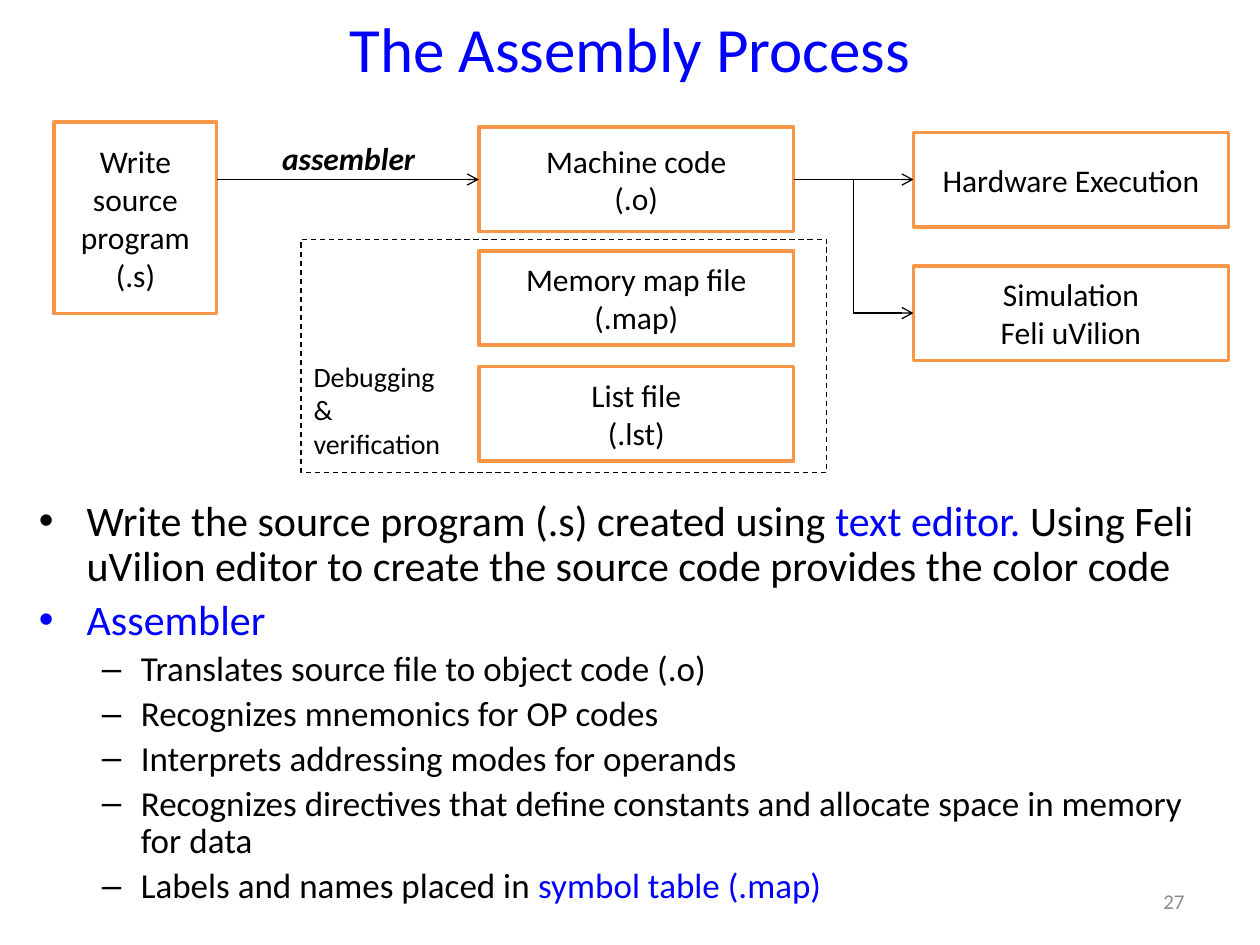
from pptx import Presentation
from pptx.dml.color import RGBColor
from pptx.enum.dml import MSO_LINE
from pptx.enum.shapes import MSO_CONNECTOR, MSO_SHAPE
from pptx.enum.text import MSO_ANCHOR, PP_ALIGN
from pptx.oxml.ns import qn
from pptx.util import Inches, Pt
from lxml.etree import SubElement

BLACK, BLUE, ORANGE, GRAY, WHITE = "000000", "0000FF", "F79646", "898989", "FFFFFF"
TOP, LEFT, BOTTOM, RIGHT = range(4)

# Content: flow boxes as lines of text with left, top, width, height
FLOW_BOXES = {
    "source": (["Write source program (.s)"], (0.43, 0.97, 1.29, 1.52)),
    "machine": (["Machine code", "(.o)"], (3.8, 1.01, 2.5, 0.83)),
    "map": (["Memory map file", "(.map)"], (3.8, 1.99, 2.5, 0.75)),
    "list": (["List file", "(.lst)"], (3.8, 2.91, 2.5, 0.75)),
    "hardware": (["Hardware Execution"], (7.25, 1.05, 2.5, 0.75)),
    "simulation": (["Simulation", "Feli uVilion"], (7.25, 2.11, 2.5, 0.75)),
}
# Body: level, then runs of text and colour
BODY = [
    (0, [("Write the source program (.s) created using ", BLACK), ("text editor. ", BLUE),
         ("Using Feli uVilion editor to create the source code provides the color code", BLACK)]),
    (0, [("Assembler", BLUE)]),
    (1, [("Translates source file to object code (.o)", BLACK)]),
    (1, [("Recognizes mnemonics for OP codes", BLACK)]),
    (1, [("Interprets addressing modes for operands", BLACK)]),
    (1, [("Recognizes directives that define constants and allocate space in memory for data", BLACK)]),
    (1, [("Labels and names placed in ", BLACK), ("symbol table (.map)", BLUE)]),
]
# Per level: bullet, text size, left margin, hanging indent
LEVELS = [("•", 24, 0.38, 0.38), ("–", 20, 0.81, 0.31)]


def color(value):
    return RGBColor.from_string(value)


def style(font, size, value):
    font.name, font.size = "Calibri", Pt(size)
    font.color.rgb = color(value)


def write(box, lines, size, value=BLACK, align=PP_ALIGN.LEFT, anchor=MSO_ANCHOR.MIDDLE):
    frame = box.text_frame
    frame.text = "\n".join(lines)
    frame.word_wrap, frame.vertical_anchor = True, anchor
    for para in frame.paragraphs:
        para.alignment = align
        for span in para.runs:
            style(span.font, size, value)
    return frame


def add_text(place, *args, **options):
    box = page.shapes.add_textbox(*map(Inches, place))
    return write(box, *args, **options)


def add_rectangle(place, line, width):
    box = page.shapes.add_shape(MSO_SHAPE.RECTANGLE, *map(Inches, place))
    box.shadow.inherit = False
    box.line.color.rgb, box.line.width = color(line), Pt(width)
    return box


def add_arrow(kind, end_box, start_box=None, start=(0, 0)):
    arrow = page.shapes.add_connector(kind, *start, *start)
    if start_box is not None:
        arrow.begin_connect(start_box, RIGHT)
    arrow.end_connect(end_box, LEFT)
    arrow.line.color.rgb, arrow.line.width = color(BLACK), Pt(0.75)
    SubElement(arrow.line._get_or_add_ln(), qn("a:tailEnd"), type="arrow")
    SubElement(arrow._element.spPr, qn("a:effectLst"))


deck = Presentation()
deck.slide_width, deck.slide_height = Inches(10), Inches(7.5)
page = deck.slides.add_slide(deck.slide_layouts[6])

# Title and page number
add_text((0.5, 0, 9, 0.75), ["The Assembly Process"], 36, BLUE, PP_ALIGN.CENTER)
add_text((7.17, 6.95, 2.33, 0.4), ["27"], 12, GRAY, PP_ALIGN.RIGHT)

# Bulleted body
frame = page.shapes.add_textbox(*map(Inches, (0.21, 3.92, 9.44, 3.58))).text_frame
frame.word_wrap = True
for index, (level, runs) in enumerate(BODY):
    bullet, size, margin, hanging = LEVELS[level]
    para = frame.paragraphs[0] if index == 0 else frame.add_paragraph()
    props = para._p.get_or_add_pPr()
    props.set("marL", str(Inches(margin)))
    props.set("indent", str(-Inches(hanging)))
    SubElement(props, qn("a:buFont"), typeface="Arial")
    SubElement(props, qn("a:buChar"), char=bullet)
    para.level, para.line_spacing = level, 0.9
    para.space_before = Pt(0.2 * size if index else 0)
    for text, value in runs:
        span = para.add_run()
        span.text = text
        style(span.font, size, value)

# Flow boxes
boxes = {}
for name, (lines, place) in FLOW_BOXES.items():
    box = add_rectangle(place, ORANGE, 2)
    box.fill.solid()
    box.fill.fore_color.rgb = color(WHITE)
    write(box, lines, 18, align=PP_ALIGN.CENTER)
    boxes[name] = box

# Dashed group for debugging files
group = add_rectangle((2.39, 1.9, 4.17, 1.85), BLACK, 0.75)
group.fill.background()
group.line.dash_style = MSO_LINE.DASH
write(group, ["Debugging", "&", "verification"], 16, anchor=MSO_ANCHOR.BOTTOM).margin_bottom = Inches(0.1)

# Arrows and the assembler label; the first arrow is level with the machine box
source, machine = boxes["source"], boxes["machine"]
source_exit = (source.left + source.width, machine.top + machine.height // 2)
add_arrow(MSO_CONNECTOR.STRAIGHT, machine, start=source_exit)
add_arrow(MSO_CONNECTOR.STRAIGHT, boxes["hardware"], machine)
add_arrow(MSO_CONNECTOR.ELBOW, boxes["simulation"], machine)
label = add_text((2.14, 1.05, 1.27, 0.4), ["assembler"], 18)
label.word_wrap = False
label_font = label.paragraphs[0].runs[0].font
label_font.bold = label_font.italic = True

deck.save("out.pptx")
